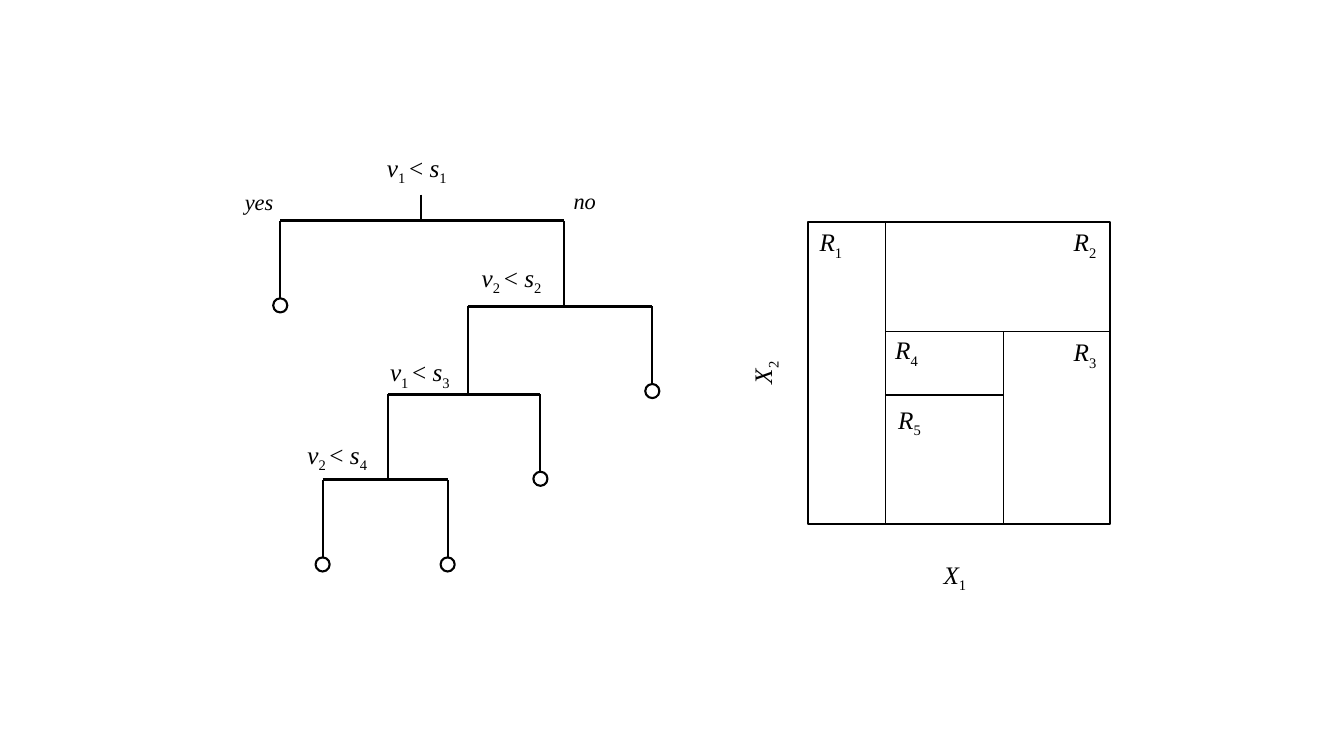
"""Draw a decision tree beside the partition of the plane that it defines."""
import pptx
import pptx.dml.color
import pptx.enum.shapes
import pptx.enum.text
import pptx.util
import lxml.etree

PX = 9144
THEME = {
    "font": "Times New Roman",
    "ink": pptx.dml.color.RGBColor(0, 0, 0),
    "math": 18,
    "answer": 16,
    "bar": 2.25,
    "branch": 1.5,
    "divider": 1,
}
STYLES = {
    "variable": {"italic": True},
    "index": {"italic": False},
    "sign": {"italic": False},
}
SHAPES = pptx.enum.shapes.MSO_SHAPE

deck = pptx.Presentation()
deck.slide_width = 1333 * PX
deck.slide_height = 750 * PX
page = deck.slides.add_slide(deck.slide_layouts[6])


def add_label(left, top, width, height, parts, size="math", turn=0):
    box = page.shapes.add_textbox(left * PX, top * PX, width * PX, height * PX)
    box.rotation = turn
    frame = box.text_frame
    frame.word_wrap = False
    frame.auto_size = pptx.enum.text.MSO_AUTO_SIZE.SHAPE_TO_FIT_TEXT
    para = frame.paragraphs[0]
    for text, style in parts:
        span = para.add_run()
        span.text = text
        look = {"name": THEME["font"], "size": pptx.util.Pt(THEME[size]), **STYLES[style]}
        for name, value in look.items():
            setattr(span.font, name, value)
        span.font.color.rgb = THEME["ink"]
        if style == "index":
            span._r.get_or_add_rPr().set("baseline", "-25000")


def add_line(x1, y1, x2, y2, weight):
    line = page.shapes.add_connector(
        pptx.enum.shapes.MSO_CONNECTOR.STRAIGHT, x1 * PX, y1 * PX, x2 * PX, y2 * PX
    )
    line.line.color.rgb = THEME["ink"]
    line.line.width = pptx.util.Pt(THEME[weight])
    lxml.etree.SubElement(line._element.spPr, pptx.oxml.ns.qn("a:effectLst"))
    return line


splits = [
    {"left": 278, "right": 559, "bar": 219, "stem": 418, "test": (374, 146, "1", "1")},
    {"left": 464, "right": 647, "bar": 304, "stem": 559, "test": (468, 255, "2", "2")},
    {"left": 385, "right": 536, "bar": 391, "stem": 464, "test": (377, 349, "1", "3")},
    {"left": 320, "right": 444, "bar": 476, "stem": 385, "test": (295, 431, "2", "4")},
]
stems = [split["stem"] for split in splits]
outlines = [page.shapes.add_shape(SHAPES.RECTANGLE, 801 * PX, 220 * PX, 300 * PX, 300 * PX)]
stem_top = 193
leaf_drop = 77
leaf_size = 14

for split in splits:
    bar = split["bar"]
    add_line(split["stem"], stem_top, split["stem"], bar, "branch")
    add_line(split["left"], bar, split["right"], bar, "bar")
    stem_top = bar
    for x in (split["left"], split["right"]):
        if x not in stems:
            leaf = page.shapes.add_shape(
                SHAPES.OVAL, (x - leaf_size // 2) * PX, (bar + leaf_drop) * PX,
                leaf_size * PX, leaf_size * PX
            )
            branch = add_line(x, bar, x, bar + leaf_drop, "branch")
            branch.end_connect(leaf, 0)
            outlines.append(leaf)
    left, top, variable, threshold = split["test"]
    add_label(left, top, 90, 40, [
        ("v", "variable"), (variable + " ", "index"), ("< ", "sign"),
        ("s", "variable"), (threshold, "index"),
    ])

for outline in outlines:
    outline.shadow.inherit = False
    outline.fill.background()
    outline.line.color.rgb = THEME["ink"]
    outline.line.width = pptx.util.Pt(THEME["branch"])

for left, top, width, answer in [(233, 182, 49, "yes"), (559, 181, 43, "no")]:
    add_label(left, top, width, 37, [(answer, "variable")], "answer")

dividers = [
    (878, 220, 878, 520),
    (878, 329, 1101, 329),
    (995, 329, 995, 520),
    (878, 392, 995, 392),
]
for ends in dividers:
    add_line(*ends, "divider")

regions = [(803, 220), (1055, 220), (1055, 329), (878, 327), (881, 396)]
for number, (left, top) in enumerate(regions, 1):
    add_label(left, top, 45, 40, [("R", "variable"), (str(number), "index")])

for left, top, number, turn in [(926, 550, "1", 0), (734, 349, "2", 270)]:
    add_label(left, top, 44, 40, [("X", "variable"), (number, "index")], turn=turn)

deck.save("out.pptx")
